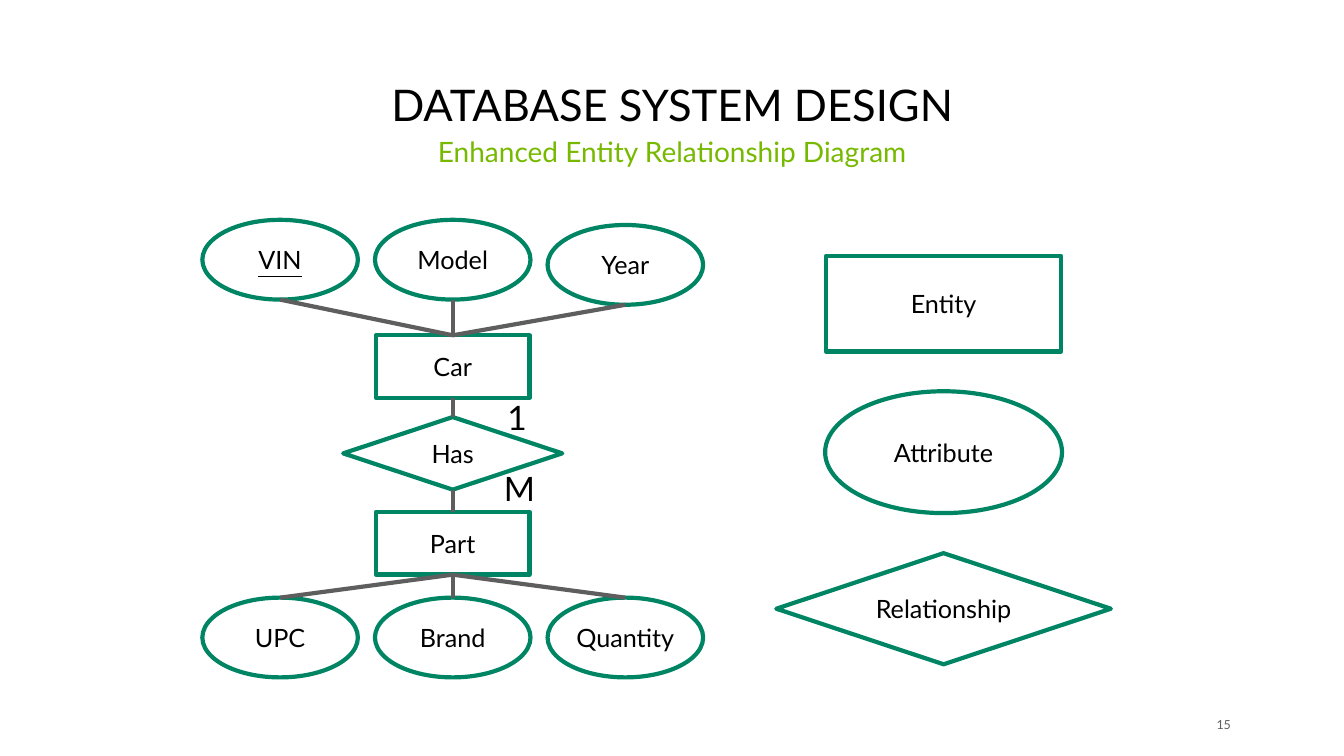
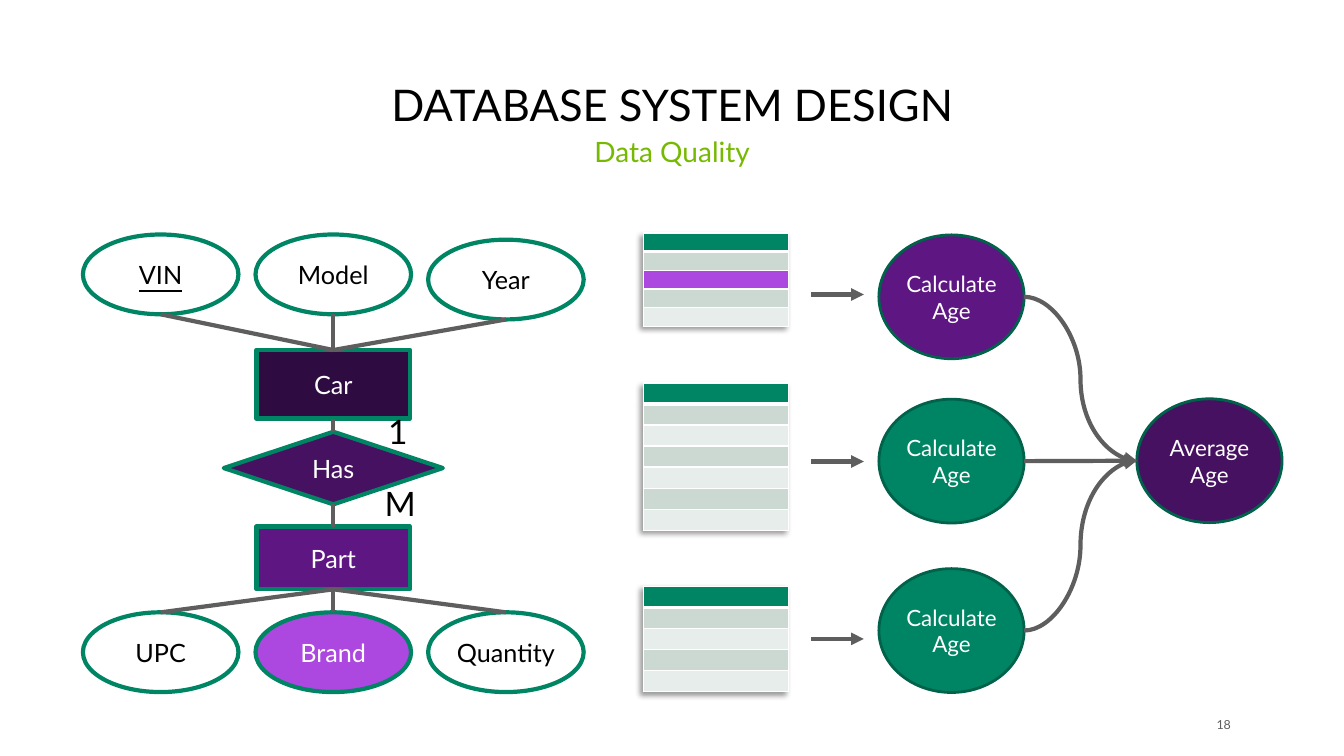
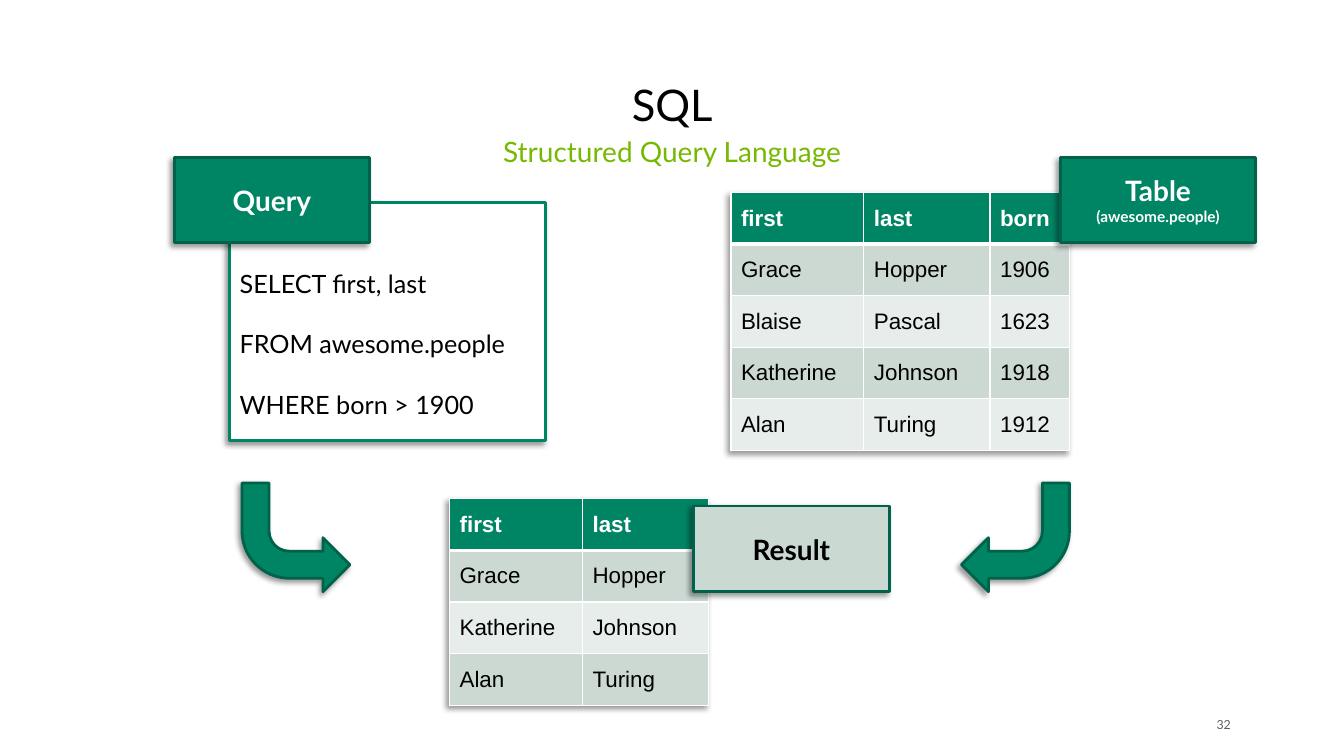
import dataclasses
import typing

import lxml.etree
import pptx
import pptx.dml.color
import pptx.enum.shapes
import pptx.enum.text
import pptx.oxml.ns
import pptx.util

Cm = pptx.util.Cm
Pt = pptx.util.Pt
RGB = pptx.dml.color.RGBColor
SHAPE = pptx.enum.shapes.MSO_SHAPE
CONNECTOR = pptx.enum.shapes.MSO_CONNECTOR
ALIGN = pptx.enum.text.PP_ALIGN
ANCHOR = pptx.enum.text.MSO_ANCHOR
qn = pptx.oxml.ns.qn

BLACK = RGB(0x00, 0x00, 0x00)
WHITE = RGB(0xFF, 0xFF, 0xFF)
GREY = RGB(0x5E, 0x5E, 0x5E)
LIME = RGB(0x76, 0xB9, 0x00)
GREEN = RGB(0x00, 0x85, 0x64)
DARK_GREEN = RGB(0x00, 0x62, 0x4A)
SAGE = RGB(0xCC, 0xD9, 0xD3)
MIST = RGB(0xE7, 0xED, 0xEA)
TAG_SAGE = RGB(0xCB, 0xD9, 0xD3)
VIOLET = RGB(0xAC, 0x47, 0xE0)
PURPLE = RGB(0x5D, 0x16, 0x82)
DEEP_PURPLE = RGB(0x46, 0x11, 0x61)
NIGHT_PURPLE = RGB(0x2E, 0x0B, 0x41)

Point = tuple[float, float]


@dataclasses.dataclass
class Line:
    text: str
    size: float = 18
    color: RGB = BLACK
    bold: bool = False
    underline: bool = False
    font: str = "Lato"


@dataclasses.dataclass
class Node:
    text: str
    kind: typing.Any
    cx: float
    y: float
    w: float
    h: float
    fill: RGB = WHITE
    edge: RGB = GREEN
    edge_pt: float = 3
    size: float = 18
    underline: bool = False

    @property
    def top(self) -> Point:
        return self.cx, self.y

    @property
    def bottom(self) -> Point:
        return self.cx, self.y + self.h

    @property
    def left(self) -> Point:
        return self.cx - self.w / 2, self.y + self.h / 2

    @property
    def right(self) -> Point:
        return self.cx + self.w / 2, self.y + self.h / 2


@dataclasses.dataclass
class Step:
    table_y: float
    row_h: float
    rows: int
    arrow_y: float
    circle_y: float
    marked_row: int = 0
    fill: RGB = GREEN


def apply(obj: typing.Any, values: dict[str, typing.Any]) -> None:
    for name, value in values.items():
        setattr(obj, name, value)


def write(tf, lines: list[Line], align=ALIGN.CENTER, **para) -> None:
    for i, line in enumerate(lines):
        p = tf.add_paragraph() if i else tf.paragraphs[0]
        values = {"alignment": align, **para}
        if i == 0:
            values.pop("space_before", None)
        apply(p, values)
        r = p.add_run()
        r.text = line.text
        apply(r.font, {"name": line.font, "size": Pt(line.size), "bold": line.bold,
                       "underline": line.underline})
        r.font.color.rgb = line.color


def add_text(s, x: float, y: float, w: float, h: float, line: Line,
             align=ALIGN.CENTER, spacing: float = 0.9, **frame) -> None:
    tf = s.shapes.add_textbox(Cm(x), Cm(y), Cm(w), Cm(h)).text_frame
    apply(tf, {"word_wrap": True, **frame})
    write(tf, [line], align, line_spacing=spacing)


def add_shadow(effects) -> None:
    shadow = lxml.etree.SubElement(effects, qn("a:outerShdw"), blurRad="50800", dist="38100",
                                   dir="8100000", algn="tr", rotWithShape="0")
    color = lxml.etree.SubElement(shadow, qn("a:srgbClr"), val=str(BLACK))
    lxml.etree.SubElement(color, qn("a:alpha"), val="40000")


def add_shape(s, kind, x: float, y: float, w: float, h: float, fill: RGB, edge: RGB,
              edge_pt: float, shadow: bool = False):
    sp = s.shapes.add_shape(kind, Cm(x), Cm(y), Cm(w), Cm(h))
    sp.shadow.inherit = False
    sp.fill.solid()
    sp.fill.fore_color.rgb = fill
    sp.line.color.rgb = edge
    sp.line.width = Pt(edge_pt)
    if shadow:
        add_shadow(sp._element.spPr.find(qn("a:effectLst")))
    return sp


def add_node(s, node: Node) -> None:
    sp = add_shape(s, node.kind, node.left[0], node.y, node.w, node.h,
                   node.fill, node.edge, node.edge_pt)
    tf = sp.text_frame
    apply(tf, {"word_wrap": True, "vertical_anchor": ANCHOR.MIDDLE})
    if node.kind == SHAPE.OVAL:
        apply(tf, {"margin_left": 0, "margin_right": 0})
    color = BLACK if node.fill == WHITE else WHITE
    write(tf, [Line(node.text, node.size, color, underline=node.underline)])


def add_link(s, start: Point, end: Point, kind=CONNECTOR.STRAIGHT, arrow: bool = False) -> None:
    c = s.shapes.add_connector(kind, *(Cm(v) for v in (*start, *end)))
    c.line.color.rgb = GREY
    c.line.width = Pt(3)
    if arrow:
        lxml.etree.SubElement(c.line._get_or_add_ln(), qn("a:tailEnd"), type="triangle")
    lxml.etree.SubElement(c._element.spPr, qn("a:effectLst"))


def set_borders(cell, row: int) -> None:
    tcPr = cell._tc.get_or_add_tcPr()
    widths = {"lnL": 1, "lnR": 1, "lnT": 3 if row == 1 else 1, "lnB": 3 if row == 0 else 1}
    for i, (side, width) in enumerate(widths.items()):
        ln = lxml.etree.Element(qn(f"a:{side}"), w=str(Pt(width)))
        fill = lxml.etree.SubElement(ln, qn("a:solidFill"))
        lxml.etree.SubElement(fill, qn("a:srgbClr"), val=str(WHITE))
        tcPr.insert(i, ln)


def add_table(s, x: float, y: float, widths: list[float], row_h: float,
              rows: list[list[str]], marked_row: int = 0) -> None:
    frame = s.shapes.add_table(len(rows), len(widths), Cm(x), Cm(y),
                               Cm(sum(widths)), Cm(row_h * len(rows)))
    table = frame.table
    table.horz_banding = False
    effects = lxml.etree.Element(qn("a:effectLst"))
    table._tbl.tblPr.insert(0, effects)
    add_shadow(effects)
    for col, width in zip(table.columns, widths):
        col.width = Cm(width)
    for i, texts in enumerate(rows):
        table.rows[i].height = Cm(row_h)
        fill = GREEN if i == 0 else VIOLET if i == marked_row else SAGE if i % 2 else MIST
        for j, text in enumerate(texts):
            cell = table.cell(i, j)
            cell.vertical_anchor = ANCHOR.MIDDLE
            cell.fill.solid()
            cell.fill.fore_color.rgb = fill
            set_borders(cell, i)
            if text:
                color = BLACK if i else WHITE
                write(cell.text_frame, [Line(text, 16, color, i == 0, font="Arial")], ALIGN.LEFT)
            else:
                apply(cell, {"margin_top": 0, "margin_bottom": 0})
                p = cell.text_frame.paragraphs[0]
                lxml.etree.SubElement(p._p, qn("a:endParaRPr"), sz="600")


def add_slide(prs, title: str, subtitle: str, number: int):
    s = prs.slides.add_slide(prs.slide_layouts[6])
    add_text(s, 1.55, 1.6, 30.78, 1.83, Line(title, 31.1), vertical_anchor=ANCHOR.BOTTOM)
    add_text(s, 1.55, 3.35, 30.78, 1.63, Line(subtitle, 20, LIME))
    add_text(s, 30.02, 18.01, 1.0, 0.51, Line(str(number), 8.9, GREY), ALIGN.RIGHT, 1.0,
             vertical_anchor=ANCHOR.MIDDLE, margin_left=0, margin_right=0,
             margin_top=0, margin_bottom=0)
    return s


def add_car_diagram(s, cx: float, y: float, car_h: float, fills: dict[str, RGB]) -> None:
    def node(text: str, kind, dy: float, w: float, h: float, dx: float = 0) -> Node:
        return Node(text, kind, cx + dx, y + dy, w, h, fills.get(text, WHITE),
                    underline=text == "VIN")

    def attributes(names: list[str], drops: list[float]) -> list[Node]:
        return [node(name, SHAPE.OVAL, dy, 3.92, 2.01, (i - 1) * 4.35)
                for i, (name, dy) in enumerate(zip(names, drops))]

    car = node("Car", SHAPE.RECTANGLE, 2.91, 3.87, car_h)
    has = node("Has", SHAPE.DIAMOND, 4.97, 5.52, 1.83)
    part = node("Part", SHAPE.RECTANGLE, 7.36, 3.87, 1.58)
    car_attributes = attributes(["VIN", "Model", "Year"], [0, 0, 0.13])
    part_attributes = attributes(["UPC", "Brand", "Quantity"], [9.52] * 3)

    for n in [car, has, part, *car_attributes, *part_attributes]:
        add_node(s, n)
    for n in car_attributes:
        add_link(s, n.bottom, car.top)
    for n in part_attributes:
        add_link(s, n.top, part.bottom)
    add_link(s, car.bottom, has.top)
    add_link(s, has.bottom, part.top)
    for text, dx, dy in [("1", 0.8, 4.44), ("M", 0.86, 6.25)]:
        add_text(s, cx + dx, y + dy, 1.65, 1.17, Line(text, 24), vertical_anchor=ANCHOR.MIDDLE)


def build_diagram_slide(prs) -> None:
    s = add_slide(prs, "DATABASE SYSTEM DESIGN", "Enhanced Entity Relationship Diagram", 15)
    add_car_diagram(s, 11.41, 5.54, 1.58, {})
    for text, kind, y, w, h in [("Entity", SHAPE.RECTANGLE, 6.45, 5.93, 2.41),
                                ("Attribute", SHAPE.OVAL, 9.86, 5.97, 3.07),
                                ("Relationship", SHAPE.DIAMOND, 13.94, 8.43, 2.8)]:
        add_node(s, Node(text, kind, 23.78, y, w, h))


def build_quality_slide(prs) -> None:
    s = add_slide(prs, "DATABASE SYSTEM DESIGN", "Data Quality", 18)

    def circle(text: str, cx: float, y: float, fill: RGB) -> Node:
        return Node(text, SHAPE.OVAL, cx, y, 3.66, 3.12, fill, DARK_GREEN, 2, 16)

    steps = [Step(5.87, 0.47, 5, 7.42, 5.92, 2, PURPLE),
             Step(9.65, 0.53, 7, 11.63, 10.06),
             Step(14.78, 0.53, 5, 16.1, 14.33)]
    average = circle("Average Age", 30.48, 10.05, DEEP_PURPLE)
    add_node(s, average)
    for step in steps:
        add_table(s, 16.21, step.table_y, [3.66], step.row_h, [[""]] * step.rows, step.marked_row)
        add_link(s, (20.45, step.arrow_y), (21.77, step.arrow_y), arrow=True)
        age = circle("Calculate Age", 23.98, step.circle_y, step.fill)
        add_node(s, age)
        level = abs(age.y - average.y) < 0.1
        add_link(s, age.right, average.left,
                 CONNECTOR.STRAIGHT if level else CONNECTOR.CURVE, arrow=True)
    add_car_diagram(s, 8.4, 5.91, 1.73, {"Car": NIGHT_PURPLE, "Has": DEEP_PURPLE,
                                         "Part": PURPLE, "Brand": VIOLET})


def build_sql_slide(prs) -> None:
    s = add_slide(prs, "SQL", "Structured Query Language", 32)
    people = [["first", "last", "born"],
              ["Grace", "Hopper", "1906"],
              ["Blaise", "Pascal", "1623"],
              ["Katherine", "Johnson", "1918"],
              ["Alan", "Turing", "1912"]]
    result = [row[:2] for row in people if row[2] == "born" or int(row[2]) > 1900]
    widths = [3.35, 3.18, 2.0]
    add_table(s, 18.42, 4.85, widths, 1.3, people)
    add_table(s, 11.33, 12.57, widths[:2], 1.3, result)

    query = add_shape(s, SHAPE.RECTANGLE, 5.79, 5.11, 7.95, 5.99, WHITE, GREEN, 2, True)
    apply(query.text_frame, {"word_wrap": True, "vertical_anchor": ANCHOR.TOP,
                             "margin_top": Cm(1.65)})
    statement = ["SELECT first, last", "FROM awesome.people", "WHERE born > 1900"]
    write(query.text_frame, [Line(text) for text in statement], ALIGN.LEFT,
          space_before=Pt(21.6))

    tags = [(4.39, 3.96, GREEN, [Line("Query", 20, WHITE, True)]),
            (26.72, 3.96, GREEN, [Line("Table", 20, WHITE, True),
                                  Line("(awesome.people)", 11, WHITE, True)]),
            (17.48, 12.75, TAG_SAGE, [Line("Result", 20, BLACK, True)])]
    for x, y, fill, lines in tags:
        tag = add_shape(s, SHAPE.RECTANGLE, x, y, 4.93, 2.16, fill, DARK_GREEN, 2, True)
        apply(tag.text_frame, {"word_wrap": True, "vertical_anchor": ANCHOR.MIDDLE})
        write(tag.text_frame, lines)

    for x, flipped in [(6.1, True), (24.23, False)]:
        arrow = add_shape(s, SHAPE.BENT_ARROW, x, 12.17, 2.72, 2.74, GREEN, DARK_GREEN, 2, True)
        arrow.rotation = 180
        if flipped:
            arrow._element.spPr.xfrm.set("flipH", "1")


def main() -> None:
    prs = pptx.Presentation()
    apply(prs, {"slide_width": Cm(33.87), "slide_height": Cm(19.05)})
    build_diagram_slide(prs)
    build_quality_slide(prs)
    build_sql_slide(prs)
    prs.save("out.pptx")


if __name__ == "__main__":
    main()
